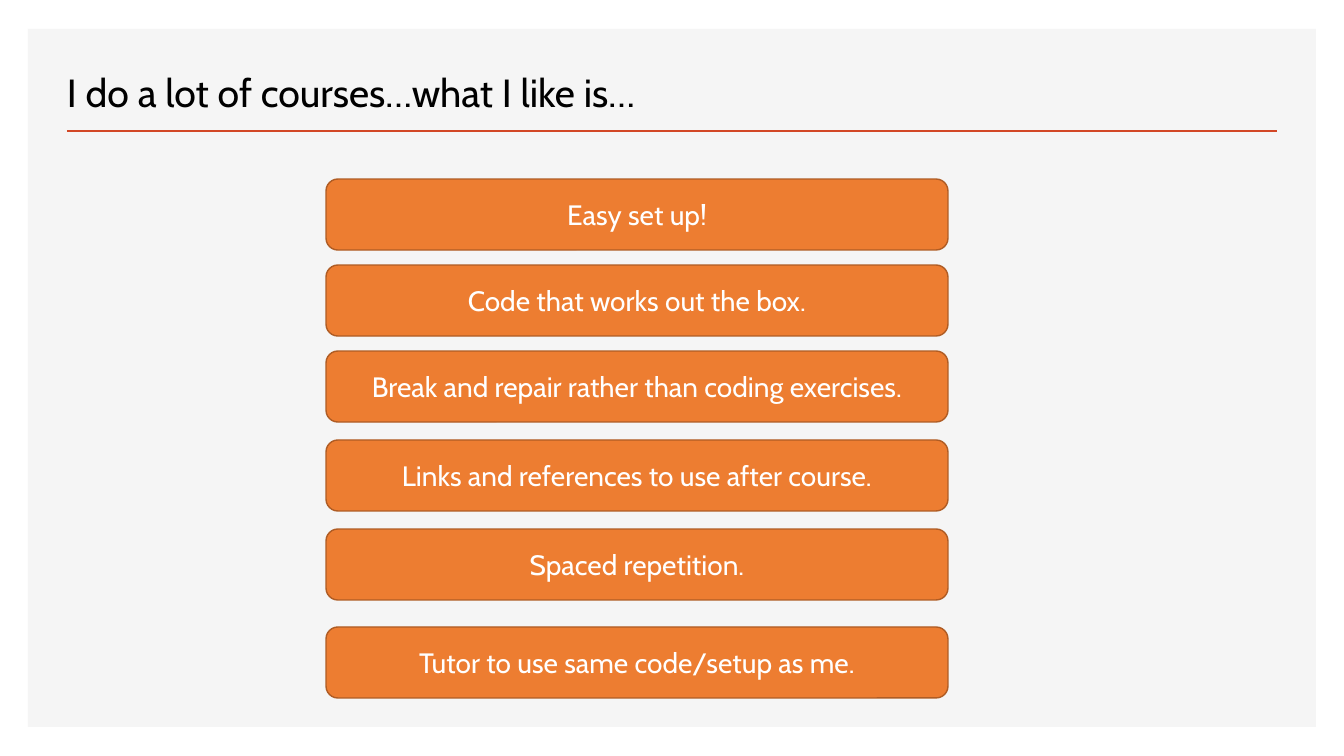
from dataclasses import dataclass

from lxml import etree
from pptx import Presentation
from pptx.dml.color import RGBColor
from pptx.enum.shapes import MSO_CONNECTOR, MSO_SHAPE
from pptx.enum.text import MSO_ANCHOR, PP_ALIGN
from pptx.oxml.ns import qn
from pptx.util import Pt

PX = 914400 / 100.8
RECT, ROUNDED = MSO_SHAPE.RECTANGLE, MSO_SHAPE.ROUNDED_RECTANGLE
STRAIGHT = MSO_CONNECTOR.STRAIGHT
BOTTOM, MIDDLE = MSO_ANCHOR.BOTTOM, MSO_ANCHOR.MIDDLE
LEFT, CENTER = PP_ALIGN.LEFT, PP_ALIGN.CENTER


@dataclass(frozen=True)
class Theme:
    font: str = "Cabin"
    title_size: int = 28
    card_size: int = 20
    panel: str = "F5F5F5"
    rule: str = "D24726"
    card: str = "ED7D31"
    card_edge: str = "AF5C24"
    title_text: str = "000000"
    card_text: str = "FFFFFF"


THEME = Theme()

# Card tops are measured from the top of the list
LIKES = [
    (0, "Easy set up!"),
    (86, "Code that works out the box."),
    (172, "Break and repair rather than coding exercises."),
    (261, "Links and references to use after course."),
    (350, "Spaced repetition."),
    (448, "Tutor to use same code/setup as me."),
]


def px(*lengths):
    return [round(length * PX) for length in lengths]


def rgb(value):
    return RGBColor.from_string(value)


def write(frame, text, size, color, align, anchor):
    frame.word_wrap = True
    frame.vertical_anchor = anchor
    paragraph = frame.paragraphs[0]
    paragraph.text = text
    paragraph.alignment = align
    paragraph.font.name = THEME.font
    paragraph.font.size = Pt(size)
    paragraph.font.color.rgb = rgb(color)


def add_block(slide, preset, box, fill, edge=None):
    block = slide.shapes.add_shape(preset, *px(*box))
    block.shadow.inherit = False
    block.fill.solid()
    block.fill.fore_color.rgb = rgb(fill)
    if edge:
        block.line.color.rgb = rgb(edge)
        block.line.width = Pt(1)
    else:
        block.line.fill.background()
    return block


def add_header(slide, box, text):
    left, top, width, height = box
    # Rule under the title
    rule_y = top + height
    rule = slide.shapes.add_connector(
        STRAIGHT, *px(left, rule_y, left + width, rule_y))
    rule.line.color.rgb = rgb(THEME.rule)
    rule.line.width = Pt(2)
    etree.SubElement(rule._element.spPr, qn("a:effectLst"))
    # Title, outset by its text margin
    title = slide.shapes.add_textbox(*px(left - 10, top, 758, 71))
    write(title.text_frame, text, THEME.title_size, THEME.title_text, LEFT, BOTTOM)


def add_likes(slide, box, likes):
    left, top, width, height = box
    card_height = height - likes[-1][0]
    for offset, text in likes:
        card = add_block(slide, ROUNDED, (left, top + offset, width, card_height),
                         THEME.card, THEME.card_edge)
        write(card.text_frame, text, THEME.card_size, THEME.card_text, CENTER, MIDDLE)


def main():
    deck = Presentation()
    deck.slide_width, deck.slide_height = px(1344, 756)
    slide = deck.slides.add_slide(deck.slide_layouts[6])
    # Background panel
    add_block(slide, RECT, (28, 29, 1288, 698), THEME.panel)
    add_header(slide, (67, 49, 1210, 82), "I do a lot of courses…what I like is…")
    add_likes(slide, (326, 179, 622, 519), LIKES)
    deck.save("out.pptx")


if __name__ == "__main__":
    main()
